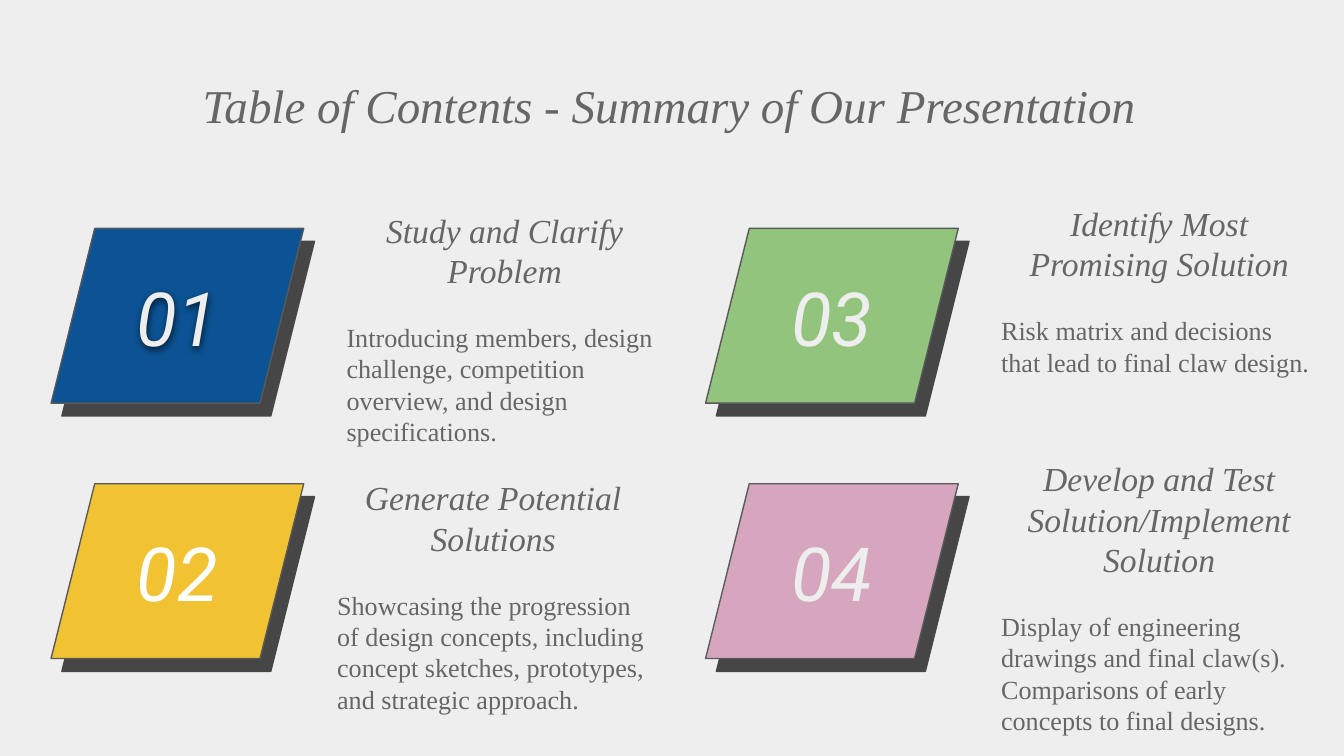
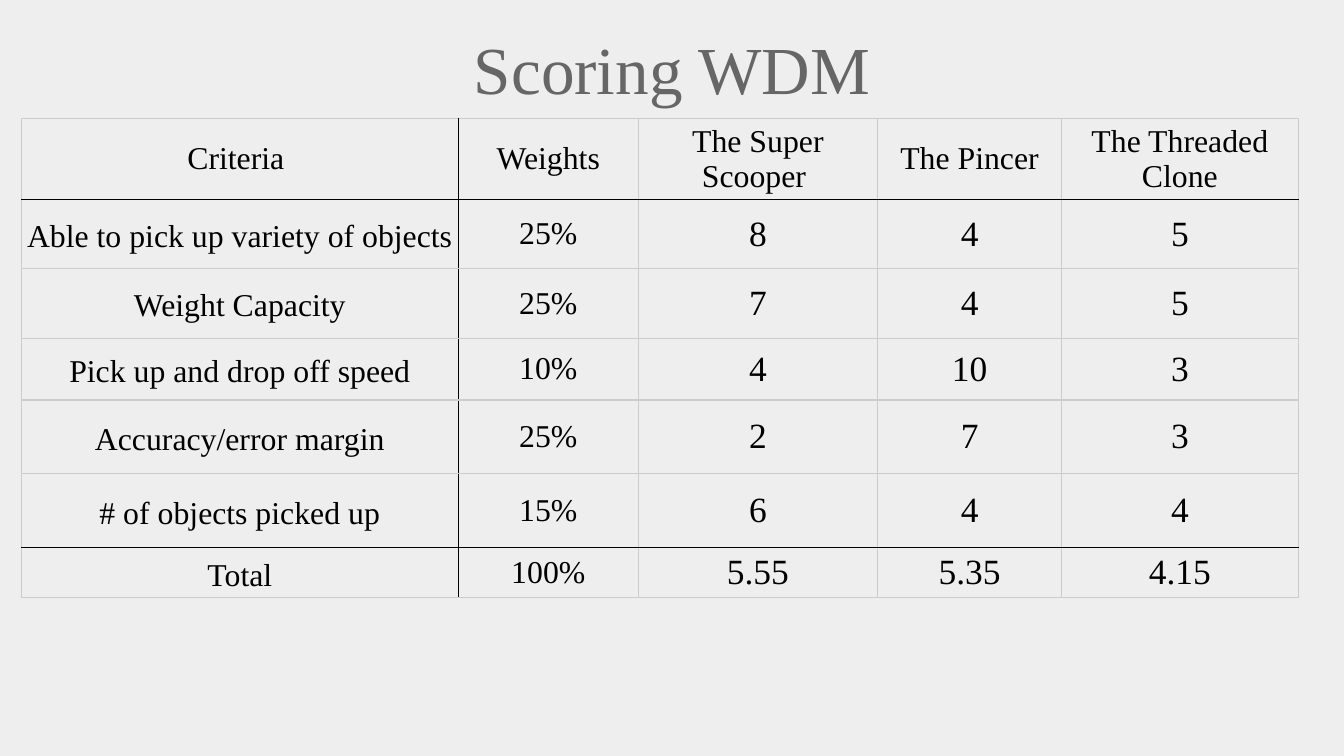
"""Build a contents slide and a weighted decision matrix slide."""
from lxml.etree import SubElement
from pptx import Presentation
from pptx.dml.color import RGBColor
from pptx.enum.shapes import MSO_SHAPE
from pptx.enum.text import MSO_ANCHOR, MSO_AUTO_SIZE, PP_ALIGN
from pptx.oxml.ns import qn
from pptx.util import Inches, Pt

COLORS = {
    "background": "EEEEEE", "text": "666666", "outline": "595959",
    "black": "000000", "white": "FFFFFF", "grid": "CCCCCC",
    "blue": "0B5394", "yellow": "F1C232", "green": "93C47D", "pink": "D5A6BD",
}
SERIF = "Times New Roman"
BLANK_LINE = Pt(16.7)


def add_text(page, area, lines, grow=True):
    """Add a text box; each line is text, size, font, colour, italic, alignment."""
    box = page.shapes.add_textbox(*[Inches(length) for length in area])
    frame = box.text_frame
    frame.word_wrap = True
    frame.auto_size = MSO_AUTO_SIZE.SHAPE_TO_FIT_TEXT if grow else MSO_AUTO_SIZE.NONE
    frame.margin_left = frame.margin_right = Inches(0.1)
    frame.margin_top = frame.margin_bottom = Inches(0.1)
    frame.text = "\n".join(line[0] for line in lines)
    for paragraph, (_, size, font, color, italic, alignment) in zip(frame.paragraphs, lines):
        paragraph.alignment = alignment
        span = paragraph.runs[0]
        span.font.size = Pt(size)
        span.font.name = font
        span.font.italic = italic
        span.font.color.rgb = RGBColor.from_string(COLORS[color])
    return box


def add_shadow(shape, blur, distance, angle):
    """Cast a black shadow; lengths in points, angle in degrees."""
    shape.shadow.inherit = False
    effects = shape._element.spPr.find(qn("a:effectLst"))
    shadow = SubElement(effects, qn("a:outerShdw"), blurRad=str(Pt(blur)),
                        dist=str(Pt(distance)), dir=str(angle * 60000),
                        algn="bl", rotWithShape="0")
    color = SubElement(shadow, qn("a:srgbClr"), val=COLORS["black"])
    SubElement(color, qn("a:alpha"), val="70000")


deck = Presentation()
deck.slide_width, deck.slide_height = Inches(10), Inches(10) * 9 // 16
contents, scoring = [deck.slides.add_slide(deck.slide_layouts[6]) for _ in range(2)]
for page in (contents, scoring):
    page.background.fill.solid()
    page.background.fill.fore_color.rgb = RGBColor.from_string(COLORS["background"])

add_text(contents, (1.41, 0.47, 7.18, 0.63),
         [("Table of Contents - Summary of Our Presentation", 25.2, SERIF, "text", True,
           PP_ALIGN.LEFT)], grow=False)

sections = [
    ("blue", "background", (2.48, 1.46, 2.55, 1.99), "Study and Clarify Problem",
     ["Introducing members, design challenge, competition overview, and design specifications."]),
    ("yellow", "white", (2.41, 3.45, 2.52, 1.99), "Generate Potential Solutions",
     ["Showcasing the progression of design concepts, including concept sketches, "
      "prototypes, and strategic approach."]),
    ("green", "background", (7.35, 1.41, 2.55, 1.52), "Identify Most Promising Solution",
     ["Risk matrix and decisions that lead to final claw design."]),
    ("pink", "background", (7.35, 3.31, 2.55, 2.52),
     "Develop and Test Solution/Implement Solution",
     ["Display of engineering drawings and final claw(s).",
      "Comparisons of early concepts to final designs."]),
]
for index, (fill, number_color, area, heading, details) in enumerate(sections):
    column, row = divmod(index, 2)
    left, top = 0.38 + 4.87 * column, 1.7 + 1.9 * row
    tile = contents.shapes.add_shape(MSO_SHAPE.PARALLELOGRAM, Inches(left), Inches(top),
                                     Inches(1.88), Inches(1.3))
    tile.adjustments[0] = 0.25
    tile.fill.solid()
    tile.fill.fore_color.rgb = RGBColor.from_string(COLORS[fill])
    tile.line.color.rgb = RGBColor.from_string(COLORS["outline"])
    tile.line.width = Pt(0.75)
    add_shadow(tile, 0, 9, 50)
    number = add_text(contents, (left + 0.13, top + 0.22, 1.62, 0.88),
                      [(f"{index + 1:02}", 40, "Roboto", number_color, True, PP_ALIGN.CENTER)])
    if index == 0:
        add_shadow(number, 4, 1.5, 90)
    summary = add_text(contents, area,
                       [(heading, 18, SERIF, "text", True, PP_ALIGN.CENTER)]
                       + [(detail, 14, SERIF, "text", False, PP_ALIGN.LEFT)
                          for detail in details])
    summary.text_frame.paragraphs[0].space_after = BLANK_LINE

add_text(scoring, (0.34, 0.1, 9.32, 0.63),
         [("Scoring WDM", 36, SERIF, "text", False, PP_ALIGN.CENTER)], grow=False)

scores = [
    ("Criteria ", "Weights", "The Super Scooper ", "The Pincer", "The Threaded Clone"),
    ("Able to pick up variety of objects", "25%", "8", "4", "5"),
    ("Weight Capacity", "25%", "7", "4", "5"),
    ("Pick up and drop off speed", "10%", "4", "10", "3"),
    ("Accuracy/error margin", "25%", "2", "7", "3"),
    ("# of objects picked up", "15%", "6", "4", "4"),
    ("Total", "100%", "5.55", "5.35", "4.15"),
]
widths = [3.25, 1.34, 1.78, 1.37, 1.76]
heights = [0.52, 0.51, 0.52, 0.46, 0.55, 0.55, 0.37]
table = scoring.shapes.add_table(len(heights), len(widths), Inches(0.16), Inches(0.88),
                                 Inches(sum(widths)), Inches(sum(heights))).table
table.first_row = table.horz_banding = False
for column, width in zip(table.columns, widths):
    column.width = Inches(width)
for row, height in zip(table.rows, heights):
    row.height = Inches(height)

last = len(scores) - 1
for r, values in enumerate(scores):
    for c, value in enumerate(values):
        cell = table.cell(r, c)
        cell.vertical_anchor = MSO_ANCHOR.MIDDLE
        cell.margin_left = cell.margin_right = Inches(0.03)
        cell.margin_top = cell.margin_bottom = Inches(0.02)
        cell.text_frame.text = value
        paragraph = cell.text_frame.paragraphs[0]
        paragraph.alignment = PP_ALIGN.CENTER
        paragraph.line_spacing = 1.15 if r > 0 and c == 0 else 1.0
        span = paragraph.runs[0]
        span.font.name = SERIF
        span.font.size = Pt(19 if r > 0 and c > 1 else 17)
        span.font.color.rgb = RGBColor.from_string(COLORS["black"])
        black_sides = {"a:lnL": c == 1, "a:lnR": c == 0,
                       "a:lnT": r in (1, last), "a:lnB": r in (0, last - 1)}
        properties = cell._tc.get_or_add_tcPr()
        for side, is_black in black_sides.items():
            border = SubElement(properties, qn(side), w=str(Pt(0.75)))
            paint = SubElement(border, qn("a:solidFill"))
            SubElement(paint, qn("a:srgbClr"), val=COLORS["black" if is_black else "grid"])
        cell.fill.background()

deck.save("out.pptx")
